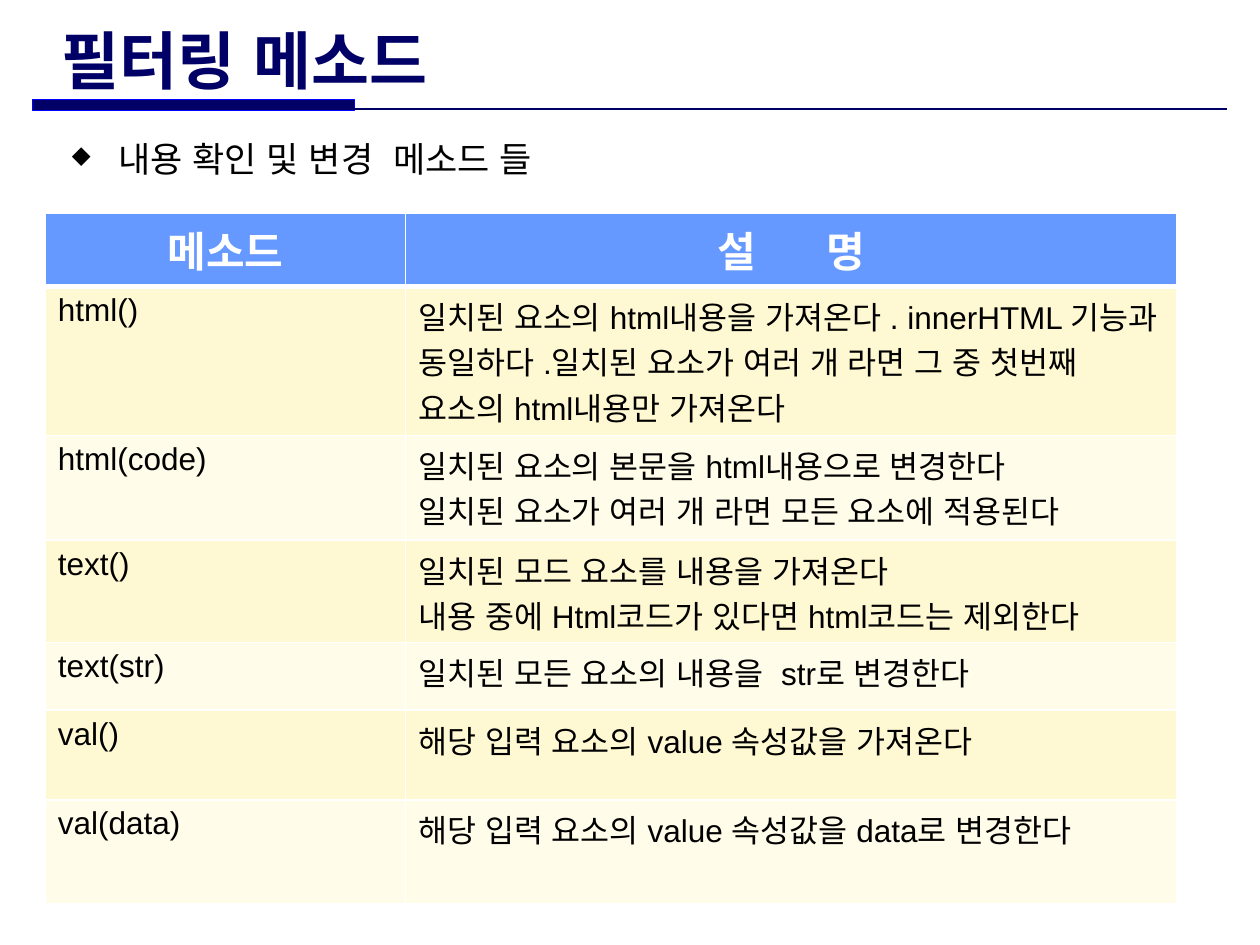
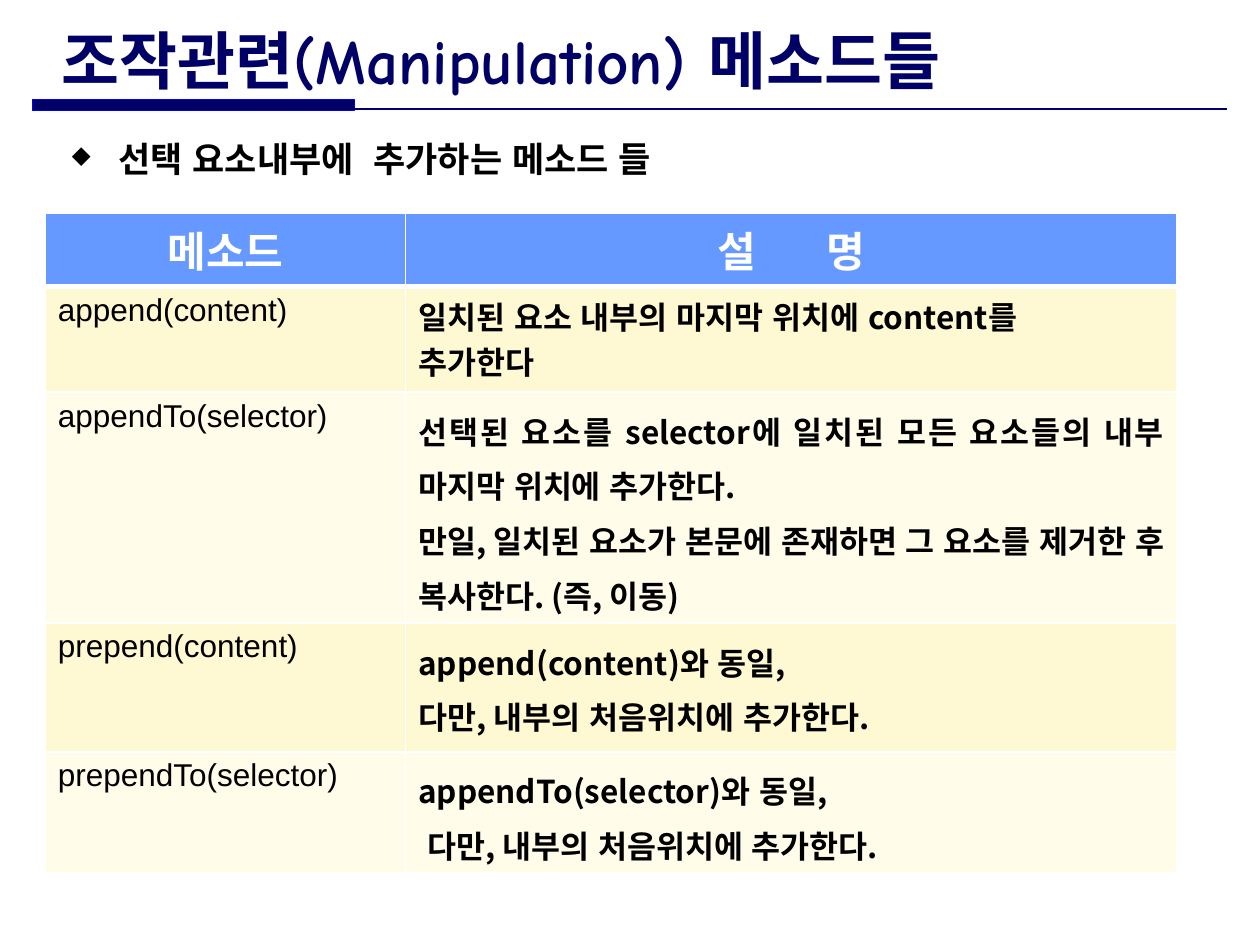
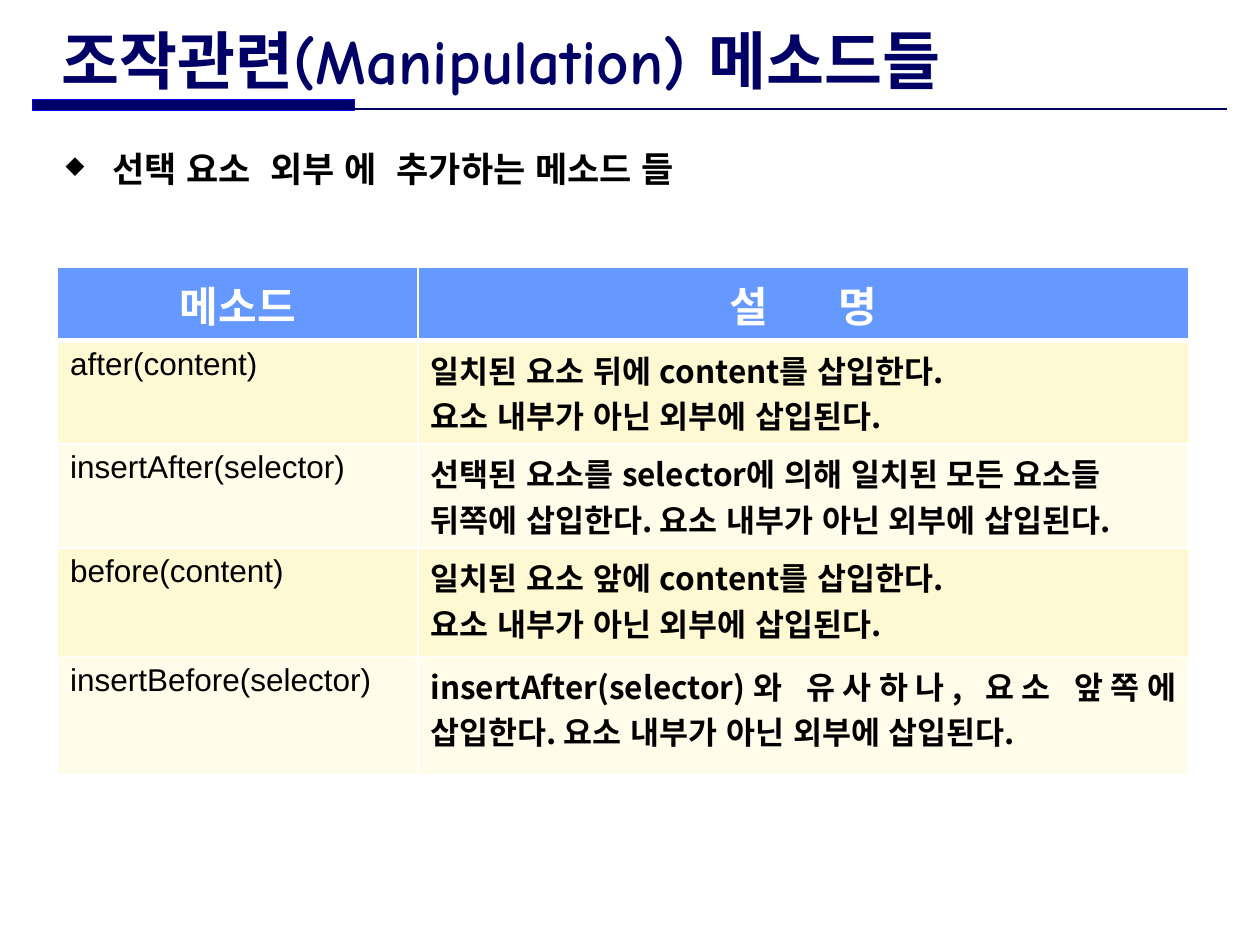
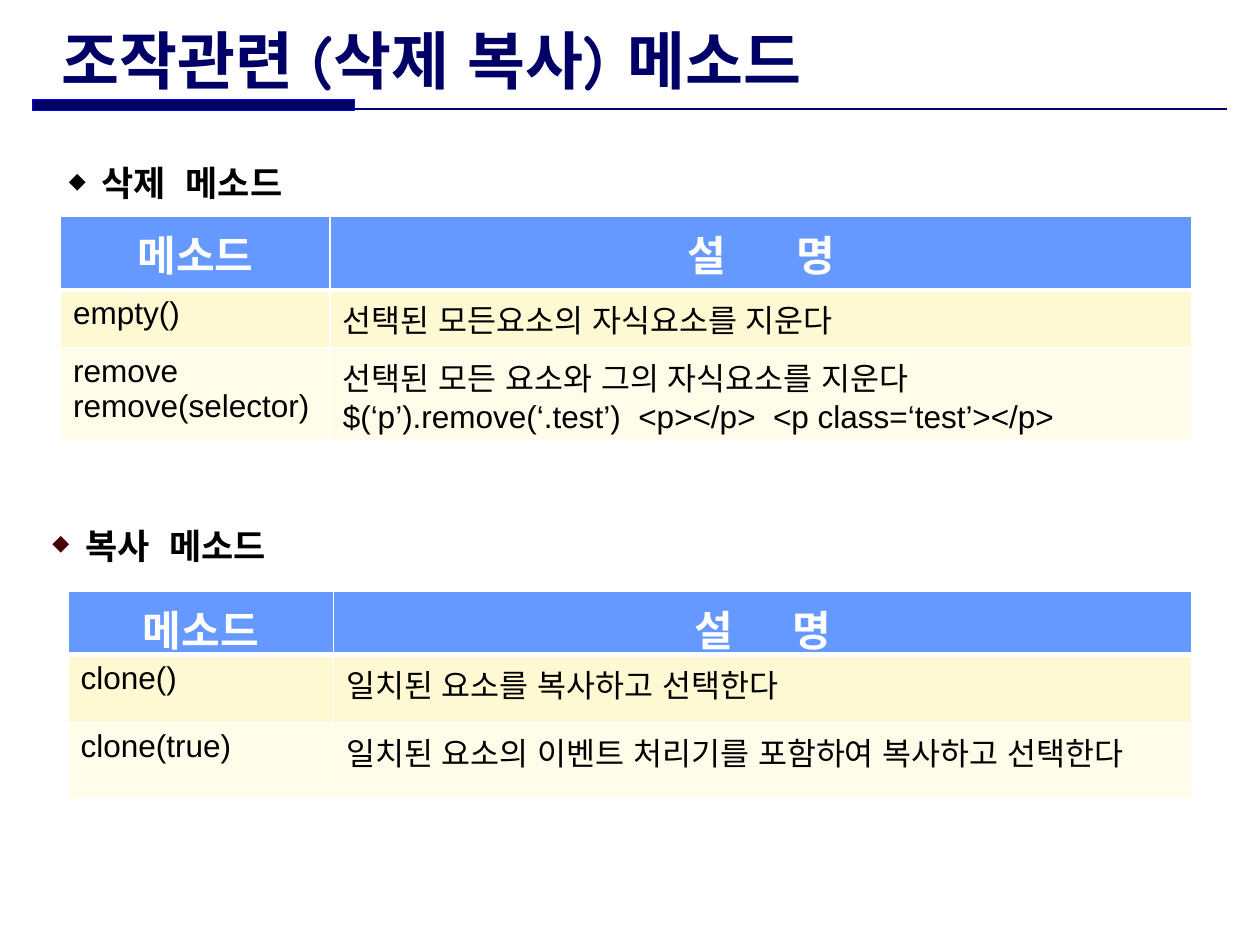
from lxml import etree
from pptx import Presentation
from pptx.dml.color import RGBColor
from pptx.enum.lang import MSO_LANGUAGE_ID
from pptx.enum.shapes import MSO_CONNECTOR, MSO_SHAPE
from pptx.enum.text import MSO_ANCHOR, PP_ALIGN
from pptx.oxml.ns import qn
from pptx.util import Pt

RECTANGLE = MSO_SHAPE.RECTANGLE
STRAIGHT = MSO_CONNECTOR.STRAIGHT
MIDDLE = MSO_ANCHOR.MIDDLE
LEFT, CENTER, JUSTIFY = PP_ALIGN.LEFT, PP_ALIGN.CENTER, PP_ALIGN.JUSTIFY
KOREAN = MSO_LANGUAGE_ID.KOREAN

COLORS = {
    "navy": "000066", "bar_line": "0000FF", "header": "6699FF",
    "odd_row": "FFF9D3", "even_row": "FFFCEA",
    "white": "FFFFFF", "black": "000000", "maroon": "460000",
}
SANS, COMIC, HANGUL = "Arial", "Comic Neue", "Noto Sans CJK KR"

# Paragraph layouts of the description column: alignment, line spacing
PLAIN, JUSTIFIED, LOOSE = (LEFT, None), (JUSTIFY, None), (JUSTIFY, 1.2)
WIDE_COLUMNS, NARROW_COLUMNS = (205.92, 440.64), (154.08, 492.48)
# Bullets: text indent, hanging distance, size in percent
WIDE_BULLET, NARROW_BULLET = (31, 26.5, 70), (22.9, 18.7, 63)

# Heading: left, top, width, bullet, text, bold, bullet colour
# Table row: height, method lines, description lines, description layout
SLIDES = [
    {
        "title": "필터링 메소드", "title_width": 488.9,
        "headings": [(29.5, 74.9, 490.3, WIDE_BULLET,
                      "내용 확인 및 변경  메소드 들", False, "black")],
        "tables": [{
            "left": 25.9, "top": 121.7, "columns": WIDE_COLUMNS, "header_height": 41.9,
            "rows": [
                (85.3, ["html()"], ["일치된 요소의 html내용을 가져온다 . innerHTML 기능과 동일하다 "
                                    ".일치된 요소가 여러 개 라면 그 중 첫번째 요소의 html내용만 가져온다"], PLAIN),
                (59.8, ["html(code)"], ["일치된 요소의 본문을 html내용으로 변경한다",
                                        "일치된 요소가 여러 개 라면 모든 요소에 적용된다"], PLAIN),
                (58.5, ["text()"], ["일치된 모드 요소를 내용을 가져온다",
                                    "내용 중에 Html코드가 있다면 html코드는 제외한다"], PLAIN),
                (38.7, ["text(str)"], ["일치된 모든 요소의 내용을  str로 변경한다"], PLAIN),
                (51.3, ["val()"], ["해당 입력 요소의 value 속성값을 가져온다"], PLAIN),
                (59.6, ["val(data)"], ["해당 입력 요소의 value 속성값을 data로 변경한다"], PLAIN),
            ],
        }],
    },
    {
        "title": "조작관련(Manipulation) 메소드들", "title_width": 609.8,
        "headings": [(29.5, 74.9, 490.3, WIDE_BULLET,
                      "선택 요소내부에  추가하는 메소드 들", True, "black")],
        "tables": [{
            "left": 25.9, "top": 121.7, "columns": WIDE_COLUMNS, "header_height": 41.9,
            "bold": True,
            "rows": [
                (60.5, ["append(content)"],
                 ["일치된 요소 내부의 마지막 위치에 content를", "추가한다"], PLAIN),
                (132, ["appendTo(selector)"],
                 ["선택된 요소를 selector에 일치된 모든 요소들의 내부 마지막 위치에 추가한다.",
                  "만일, 일치된 요소가 본문에 존재하면 그 요소를 제거한 후 복사한다. (즉, 이동)"], LOOSE),
                (73.6, ["prepend(content)"],
                 ["append(content)와 동일,", "다만, 내부의 처음위치에 추가한다."], LOOSE),
                (69.2, ["prependTo(selector)"],
                 ["appendTo(selector)와 동일,", " 다만, 내부의 처음위치에 추가한다."], LOOSE),
            ],
        }],
    },
    {
        "title": "조작관련(Manipulation) 메소드들", "title_width": 599,
        "headings": [(25.9, 80.6, 490.3, WIDE_BULLET,
                      "선택 요소  외부 에  추가하는 메소드 들", True, "black")],
        "tables": [{
            "left": 32.9, "top": 152.8, "columns": WIDE_COLUMNS, "header_height": 41.7,
            "bold": True,
            "rows": [
                (59.3, ["after(content)"],
                 ["일치된 요소 뒤에 content를 삽입한다.", "요소 내부가 아닌 외부에 삽입된다."], JUSTIFIED),
                (59.3, ["insertAfter(selector)"],
                 ["선택된 요소를 selector에 의해 일치된 모든 요소들",
                  "뒤쪽에 삽입한다. 요소 내부가 아닌 외부에 삽입된다."], JUSTIFIED),
                (62, ["before(content)"],
                 ["일치된 요소 앞에 content를 삽입한다.", "요소 내부가 아닌 외부에 삽입된다."], JUSTIFIED),
                (67.9, ["insertBefore(selector)"],
                 ["insertAfter(selector)와 유사하나, 요소 앞쪽에 삽입한다. "
                  "요소 내부가 아닌 외부에 삽입된다."], JUSTIFIED),
            ],
        }],
    },
    {
        "title": "조작관련 (삭제 복사) 메소드", "title_width": 488.9,
        "headings": [
            (28.1, 89, 241.9, NARROW_BULLET, "삭제  메소드", True, "black"),
            (18.7, 296, 241.9, NARROW_BULLET, "복사  메소드", True, "maroon"),
        ],
        "tables": [
            {
                "left": 34.6, "top": 123.8, "columns": NARROW_COLUMNS, "header_height": 41.9,
                "rows": [
                    (33, ["empty()"], ["선택된 모든요소의 자식요소를 지운다"], PLAIN),
                    (53.3, ["remove", "remove(selector)"],
                     ["선택된 모든 요소와 그의 자식요소를 지운다",
                      "$(‘p’).remove(‘.test’)  <p></p>  <p class=‘test’></p>"], PLAIN),
                ],
            },
            {
                "left": 38.9, "top": 337.9, "columns": (151.7, 490.5), "header_height": 36.2,
                "header_font": COMIC, "header_gap": 13.6,
                "rows": [
                    (38.9, ["clone()"], ["일치된 요소를 복사하고 선택한다"], PLAIN),
                    (43.2, ["clone(true)"],
                     ["일치된 요소의 이벤트 처리기를 포함하여 복사하고 선택한다"], PLAIN),
                ],
            },
        ],
    },
]


def color(name):
    return RGBColor.from_string(COLORS[name])


def add_run(paragraph, text, size, font=SANS, bold=False, ink="black", spacing=0):
    run = paragraph.add_run()
    run.text = text
    run.font.size = Pt(size)
    run.font.bold = bold
    run.font.name = font
    run.font.language_id = KOREAN
    run.font.color.rgb = color(ink)
    properties = run._r.get_or_add_rPr()
    east_asian = etree.Element(qn("a:ea"), typeface=HANGUL)
    properties.find(qn("a:latin")).addnext(east_asian)
    if spacing:
        properties.set("spc", str(round(spacing * 100)))


def add_text_box(slide, left, top, width, height):
    frame = slide.shapes.add_textbox(Pt(left), Pt(top), Pt(width), Pt(height)).text_frame
    frame.word_wrap = True
    return frame


def add_title(slide, text, width):
    bar = slide.shapes.add_shape(RECTANGLE, Pt(18.7), Pt(56.9), Pt(183.9), Pt(6.2))
    bar.shadow.inherit = False
    bar.fill.solid()
    bar.fill.fore_color.rgb = color("navy")
    bar.line.color.rgb = color("bar_line")
    bar.line.width = Pt(0.75)

    rule = slide.shapes.add_connector(STRAIGHT, Pt(18.7), Pt(62.4), Pt(701.1), Pt(62.4))
    rule.line.color.rgb = color("navy")
    rule.line.width = Pt(1.5)
    etree.SubElement(rule._element.spPr, qn("a:effectLst"))

    frame = add_text_box(slide, 28.1, 15.1, width, 37.4)
    frame.vertical_anchor = MIDDLE
    add_run(frame.paragraphs[0], text, 36, COMIC, True, "navy")


def add_heading(slide, left, top, width, bullet, text, bold, bullet_color):
    indent, hanging, percent = bullet
    paragraph = add_text_box(slide, left, top, width, 31.7).paragraphs[0]
    properties = paragraph._p.get_or_add_pPr()
    properties.set("marL", str(Pt(indent)))
    properties.set("indent", str(-Pt(hanging)))
    bullet_ink = etree.SubElement(properties, qn("a:buClr"))
    etree.SubElement(bullet_ink, qn("a:srgbClr"), val=COLORS[bullet_color])
    etree.SubElement(properties, qn("a:buSzPct"), val=str(percent * 1000))
    etree.SubElement(properties, qn("a:buChar"), char="◆")
    add_run(paragraph, text, 20, bold=bold)


def style_cell(cell, fill, top=1, bottom=1):
    """Draw white borders, then the fill, in the order the schema wants."""
    properties = cell._tc.get_or_add_tcPr()
    for side, width in (("L", 1), ("R", 1), ("T", top), ("B", bottom)):
        border = etree.SubElement(properties, qn(f"a:ln{side}"), w=str(Pt(width)))
        paint = etree.SubElement(border, qn("a:solidFill"))
        etree.SubElement(paint, qn("a:srgbClr"), val=COLORS["white"])
    cell.fill.solid()
    cell.fill.fore_color.rgb = color(fill)


def write_lines(cell, lines, layout, font=SANS, bold=False):
    frame = cell.text_frame
    for index, line in enumerate(lines):
        paragraph = frame.add_paragraph() if index else frame.paragraphs[0]
        paragraph.alignment, paragraph.line_spacing = layout
        add_run(paragraph, line, 18, font, bold)


def add_method_table(slide, left, top, columns, header_height, rows, bold=False,
                     header_font=SANS, header_gap=16.7):
    heights = [header_height] + [row[0] for row in rows]
    table = slide.shapes.add_table(len(heights), len(columns), Pt(left), Pt(top),
                                   Pt(sum(columns)), Pt(sum(heights))).table
    for column, width in zip(table.columns, columns):
        column.width = Pt(width)
    for row, height in zip(table.rows, heights):
        row.height = Pt(height)

    # The gap inside the second header is letter spacing
    headers = [[("메소드", 0)], [("설 ", header_gap), ("명", 0)]]
    for cell, runs in zip(table.rows[0].cells, headers):
        style_cell(cell, "header", bottom=3)
        paragraph = cell.text_frame.paragraphs[0]
        paragraph.alignment = CENTER
        for text, spacing in runs:
            add_run(paragraph, text, 24, header_font, True, "white", spacing)

    for number, (_, methods, description, layout) in enumerate(rows, start=1):
        method_cell, description_cell = table.rows[number].cells
        for cell in (method_cell, description_cell):
            style_cell(cell, "odd_row" if number % 2 else "even_row",
                       top=3 if number == 1 else 1)
        write_lines(method_cell, methods, PLAIN)
        write_lines(description_cell, description, layout, HANGUL if bold else SANS, bold)


def main():
    presentation = Presentation()
    presentation.slide_width, presentation.slide_height = Pt(720), Pt(540)
    for content in SLIDES:
        slide = presentation.slides.add_slide(presentation.slide_layouts[6])
        add_title(slide, content["title"], content["title_width"])
        for table in content["tables"]:
            add_method_table(slide, **table)
        for heading in content["headings"]:
            add_heading(slide, *heading)
    presentation.save("out.pptx")


if __name__ == "__main__":
    main()
